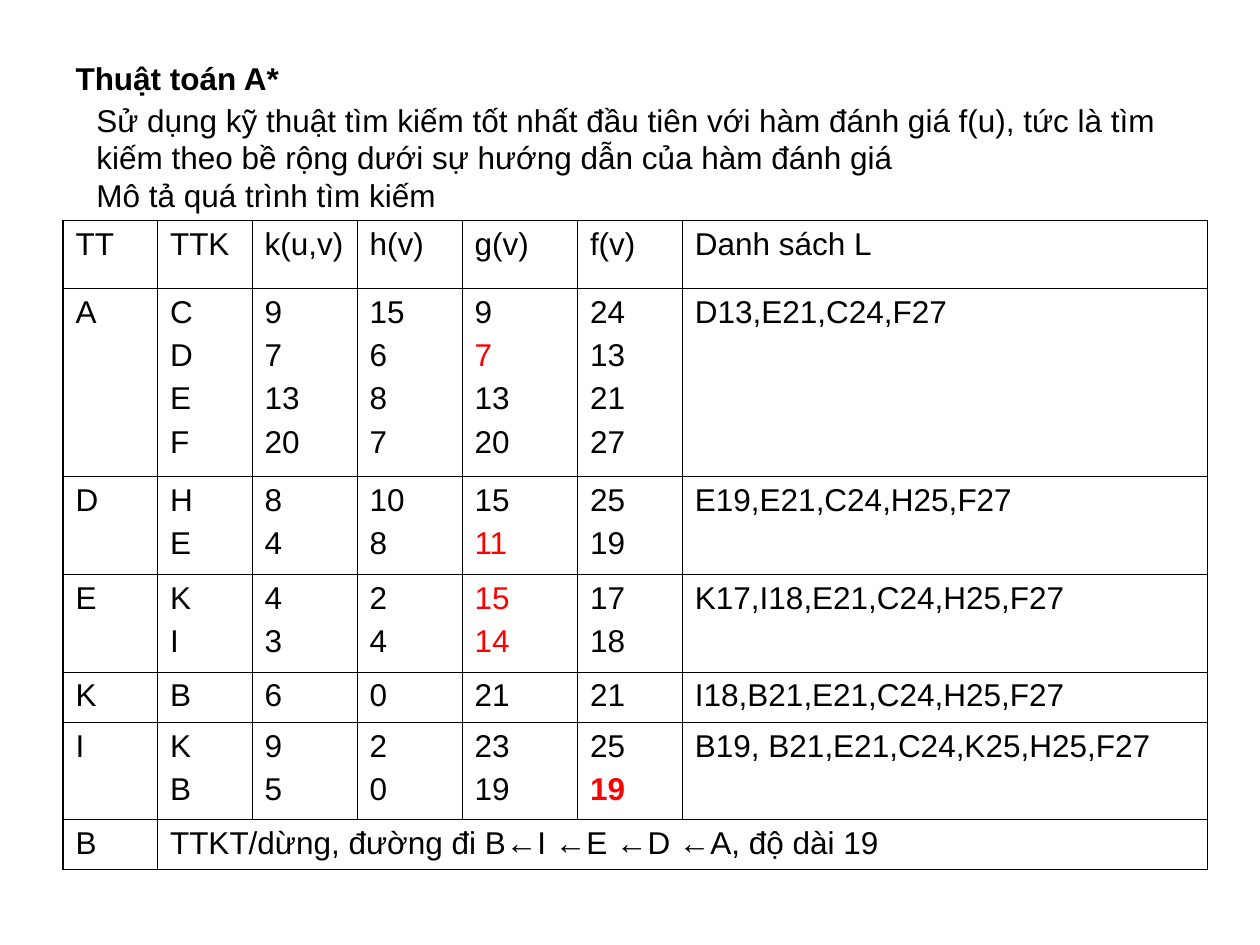
import pptx
import pptx.dml.color
import pptx.enum.text
import pptx.oxml
import pptx.oxml.ns
import pptx.util

Pt = pptx.util.Pt
BLACK = pptx.dml.color.RGBColor(0x00, 0x00, 0x00)
RED = pptx.dml.color.RGBColor(0xFF, 0x00, 0x00)

TITLE_ONLY = 5
OUTER_LINE, INNER_LINE = 1.08, 0.45

COLUMN_WIDTHS = [54, 54, 60, 60, 66, 60, 300]
ROW_HEIGHTS = [39, 107.25, 56.25, 55.5, 28.75, 55.5, 28.75]

# One line of a cell per list item
SEARCH_STEPS = [
    ["TT", "TTK", "k(u,v)", "h(v)", "g(v)", "f(v)", "Danh sách L"],
    ["A", ["C", "D", "E", "F"], ["9", "7", "13", "20"], ["15", "6", "8", "7"],
     ["9", "7", "13", "20"], ["24", "13", "21", "27"], "D13,E21,C24,F27"],
    ["D", ["H", "E"], ["8", "4"], ["10", "8"], ["15", "11"], ["25", "19"],
     "E19,E21,C24,H25,F27"],
    ["E", ["K", "I"], ["4", "3"], ["2", "4"], ["15", "14"], ["17", "18"],
     "K17,I18,E21,C24,H25,F27"],
    ["K", "B", "6", "0", "21", "21", "I18,B21,E21,C24,H25,F27"],
    ["I", ["K", "B"], ["9", "5"], ["2", "0"], ["23", "19"], ["25", "19"],
     "B19, B21,E21,C24,K25,H25,F27"],
    ["B", "TTKT/dừng, đường đi B←I ←E ←D ←A, độ dài 19"],
]

# (row, column, line) of the values in red; the final cost is also bold
RED_VALUES = {(1, 4, 1), (2, 4, 1), (3, 4, 0), (3, 4, 1), (5, 5, 1)}
FINAL_COST = (5, 5, 1)


def format_paragraph(paragraph, color=BLACK, bold=False):
    paragraph.alignment = pptx.enum.text.PP_ALIGN.LEFT
    for run in paragraph.runs:
        run.font.name = "Arial"
        run.font.size = Pt(18)
        run.font.bold = bold
        run.font.color.rgb = color


def fill_text_shape(shape, text, bold=False):
    text_frame = shape.text_frame
    text_frame.text = text
    text_frame.word_wrap = True
    text_frame.auto_size = pptx.enum.text.MSO_AUTO_SIZE.NONE
    text_frame.vertical_anchor = pptx.enum.text.MSO_ANCHOR.TOP
    format_paragraph(text_frame.paragraphs[0], bold=bold)


def add_title(slide, text, left, top, width, height):
    title = slide.shapes.title
    title.left, title.top = Pt(left), Pt(top)
    title.width, title.height = Pt(width), Pt(height)
    fill_text_shape(title, text, bold=True)


def add_text(slide, text, left, top, width, height):
    box = slide.shapes.add_textbox(Pt(left), Pt(top), Pt(width), Pt(height))
    fill_text_shape(box, text)


def set_borders(cell, widths):
    properties = cell._tc.get_or_add_tcPr()
    for side, width in widths.items():
        properties.append(pptx.oxml.parse_xml(
            f'<a:ln{side} {pptx.oxml.ns.nsdecls("a")} w="{int(Pt(width))}">'
            f'<a:solidFill><a:srgbClr val="{BLACK}"/></a:solidFill></a:ln{side}>'))


def fill_cell(cell, row, column, content):
    lines = [content] if isinstance(content, str) else content
    for index, line in enumerate(lines):
        if index == 0:
            paragraph = cell.text_frame.paragraphs[0]
        else:
            paragraph = cell.text_frame.add_paragraph()
            paragraph.space_before = Pt(4.5)
        paragraph.text = line
        position = (row, column, index)
        format_paragraph(paragraph, RED if position in RED_VALUES else BLACK,
                         position == FINAL_COST)


def add_search_table(slide, left, top):
    row_count, column_count = len(ROW_HEIGHTS), len(COLUMN_WIDTHS)
    table = slide.shapes.add_table(
        row_count, column_count, Pt(left), Pt(top),
        Pt(sum(COLUMN_WIDTHS)), Pt(sum(ROW_HEIGHTS))).table
    table.first_row = table.horz_banding = False
    for column, width in zip(table.columns, COLUMN_WIDTHS):
        column.width = Pt(width)
    for row, height in zip(table.rows, ROW_HEIGHTS):
        row.height = Pt(height)

    # Thicker lines around the outside, thin lines between the cells
    for row in range(row_count):
        for column in range(column_count):
            on_edge = {"L": column == 0, "R": column == column_count - 1,
                       "T": row == 0, "B": row == row_count - 1}
            cell = table.cell(row, column)
            set_borders(cell, {side: OUTER_LINE if outer else INNER_LINE
                               for side, outer in on_edge.items()})
            cell.fill.background()

    # The last row gives the path found, across all remaining columns
    last_row = row_count - 1
    table.cell(last_row, 1).merge(table.cell(last_row, column_count - 1))
    for row, contents in enumerate(SEARCH_STEPS):
        for column, content in enumerate(contents):
            fill_cell(table.cell(row, column), row, column, content)


def main():
    presentation = pptx.Presentation()
    presentation.slide_width, presentation.slide_height = Pt(720), Pt(540)
    slide = presentation.slides.add_slide(presentation.slide_layouts[TITLE_ONLY])

    # Heading and introduction
    add_title(slide, "Thuật toán A*", 36, 30, 330, 29)
    add_text(slide, "Sử dụng kỹ thuật tìm kiếm tốt nhất đầu tiên với hàm đánh giá "
             "f(u), tức là tìm kiếm theo bề rộng dưới sự hướng dẫn của hàm đánh giá",
             48, 54, 648, 50.5)
    add_text(slide, "Mô tả quá trình tìm kiếm", 48, 97, 312, 29)

    # Search trace
    add_search_table(slide, 36, 126)
    presentation.save("out.pptx")


if __name__ == "__main__":
    main()
